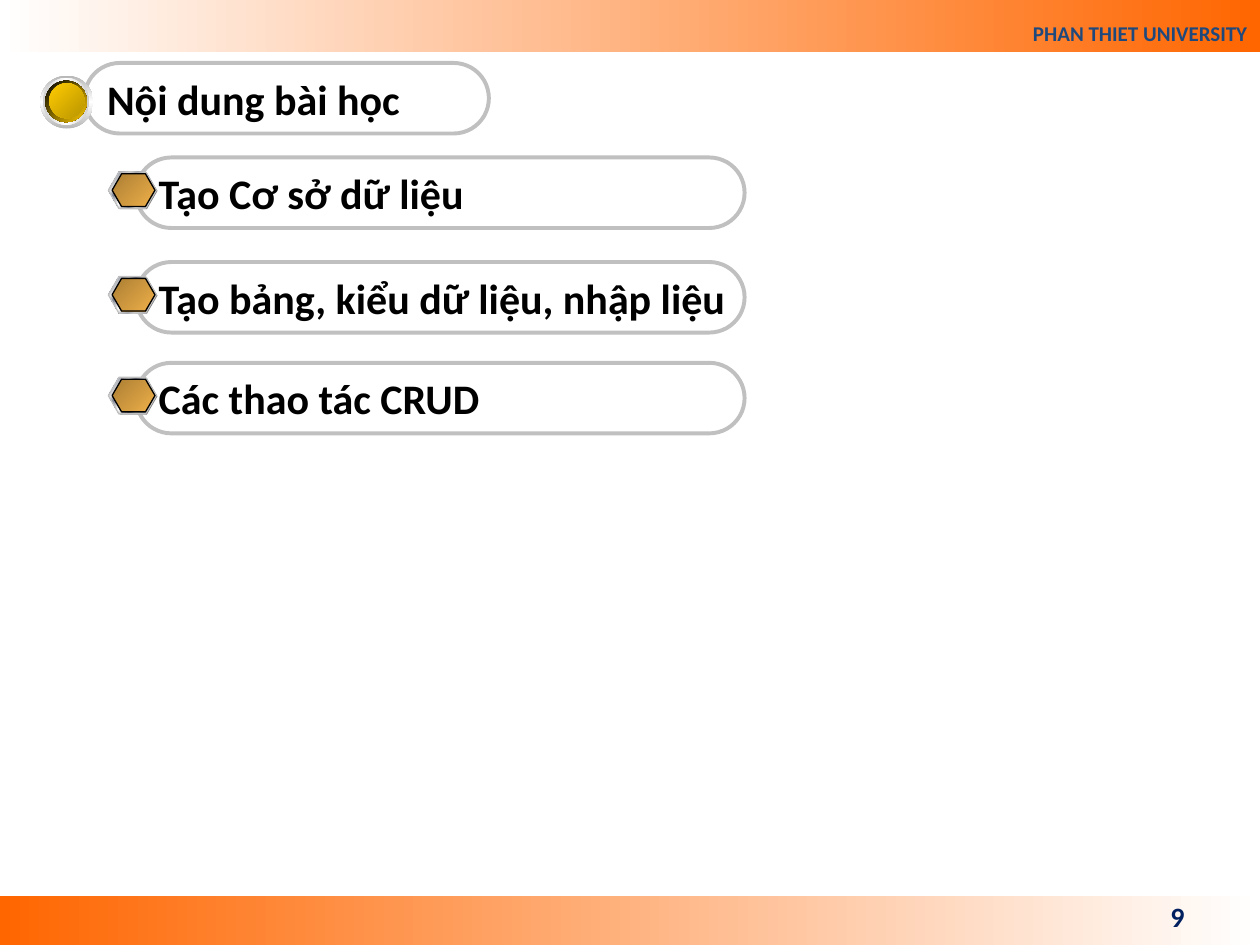
"""Builds the lesson contents slide with three topic pills."""
import pptx
import pptx.util
import pptx.dml.color
import pptx.enum.shapes
import pptx.enum.text
import pptx.oxml
import pptx.oxml.ns

Inches = pptx.util.Inches
Pt = pptx.util.Pt
SHAPE = pptx.enum.shapes.MSO_SHAPE
ANCHOR = pptx.enum.text.MSO_ANCHOR
ALIGN = pptx.enum.text.PP_ALIGN
rgb = pptx.dml.color.RGBColor.from_string


def add_shape(shapes, kind, box, stops=None, angle=0, line=None, width=0.75):
    sp = shapes.add_shape(kind, *[Inches(v) for v in box])
    sp.shadow.inherit = False
    if stops is None:
        sp.fill.background()
    elif len(stops) == 1:
        sp.fill.solid()
        sp.fill.fore_color.rgb = rgb(stops[0][1])
    else:
        sp.fill.gradient()
        grad = sp.fill._xPr.find(pptx.oxml.ns.qn("a:gradFill"))
        items = "".join(
            f'<a:gs pos="{pos * 1000}"><a:srgbClr val="{color}"/></a:gs>'
            for pos, color in stops)
        ns = pptx.oxml.ns.nsdecls("a")
        grad.replace(grad.gsLst, pptx.oxml.parse_xml(f"<a:gsLst {ns}>{items}</a:gsLst>"))
        grad.lin.set("ang", str(angle * 60000))
    if line:
        sp.line.color.rgb = rgb(line)
        sp.line.width = Pt(width)
    else:
        sp.line.fill.background()
    return sp


def set_text(sp, text, size, color, align, anchor):
    tf = sp.text_frame
    tf.text = text
    tf.word_wrap = True
    tf.auto_size = pptx.enum.text.MSO_AUTO_SIZE.NONE
    tf.vertical_anchor = anchor
    p = tf.paragraphs[0]
    p.alignment = align
    font = p.runs[0].font
    font.name, font.size, font.bold = "Calibri", Pt(size), True
    font.color.rgb = rgb(color)
    return p


prs = pptx.Presentation()
prs.slide_width, prs.slide_height = Inches(10), Inches(7.5)
s = prs.slides.add_slide(prs.slide_layouts[5])

add_shape(s.shapes, SHAPE.RECTANGLE, (0, 7.11, 10, 0.39), [(0, "FF6600"), (100, "FFFFFF")])
header = add_shape(s.shapes, SHAPE.RECTANGLE, (0, -0.01, 10, 0.42),
                   [(0, "FFFFFF"), (100, "FF6600")])
p = set_text(header, "PHAN THIET UNIVERSITY", 12, "1F497D", ALIGN.RIGHT, ANCHOR.BOTTOM)
p.line_spacing = 1.8

number = s.shapes.add_textbox(Inches(7.17), Inches(7.07), Inches(2.33), Inches(0.4))
set_text(number, "9", 16, "002060", ALIGN.RIGHT, ANCHOR.MIDDLE)

title_box = (0.67, 0.5, 3.21, 0.56)
pill = add_shape(s.shapes, SHAPE.ROUNDED_RECTANGLE, title_box, line="C0C0C0", width=2.25)
pill.adjustments[0] = 0.5
title = s.shapes.title
title.left, title.top, title.width, title.height = [Inches(v) for v in title_box]
set_text(title, "Nội dung bài học", 24, "000000", ALIGN.LEFT, ANCHOR.MIDDLE)
title.text_frame.margin_left = Inches(0.18)

rings = [
    (0.32, 0.6, 0.42, [(0, "B6B6B6"), (50, "FFFFFF"), (100, "B6B6B6")], 90),
    (0.34, 0.62, 0.37, [(0, "D1D1D1"), (50, "FFFFFF"), (100, "D1D1D1")], 0),
    (0.36, 0.64, 0.33, [(0, "000000"), (100, "FFCC00")], 45),
    (0.39, 0.66, 0.28, [(0, "FFCC00"), (100, "BA9500")], 45),
]
button = s.shapes.add_group_shape()
for left, top, size, stops, angle in rings:
    add_shape(button.shapes, SHAPE.OVAL, (left, top, size, size), stops, angle)

metal = [(0, "E6E6E6"), (7, "7D8496"), (26, "E6E6E6"), (34, "7D8496"),
         (46, "E6E6E6"), (50, "FFFFFF"), (54, "E6E6E6"), (66, "7D8496"),
         (74, "E6E6E6"), (93, "7D8496"), (100, "E6E6E6")]
hexagons = [
    (0.87, 0.12, 0.38, 0.29, [(0, "808080")], None),
    (0.86, 0.115, 0.38, 0.29, metal, "C0C0C0"),
    (0.89, 0.13, 0.34, 0.26, [(0, "AB7E34"), (100, "EFB049")], "000000"),
]
topics = [
    (1.25, "Tạo Cơ sở dữ liệu"),
    (2.08, "Tạo bảng, kiểu dữ liệu, nhập liệu"),
    (2.88, "Các thao tác CRUD"),
]
for top, text in topics:
    row = s.shapes.add_group_shape()
    pill = add_shape(row.shapes, SHAPE.ROUNDED_RECTANGLE, (1.08, top, 4.83, 0.56),
                     line="C0C0C0", width=2.25)
    pill.adjustments[0] = 0.5
    set_text(pill, text, 24, "000000", ALIGN.LEFT, ANCHOR.MIDDLE)
    pill.text_frame.margin_right = 0
    for left, offset, width, height, stops, line in hexagons:
        sp = add_shape(row.shapes, SHAPE.HEXAGON, (left, top + offset, width, height),
                       stops, 45, line)
        sp.adjustments[0] = 0.29

prs.save("out.pptx")
